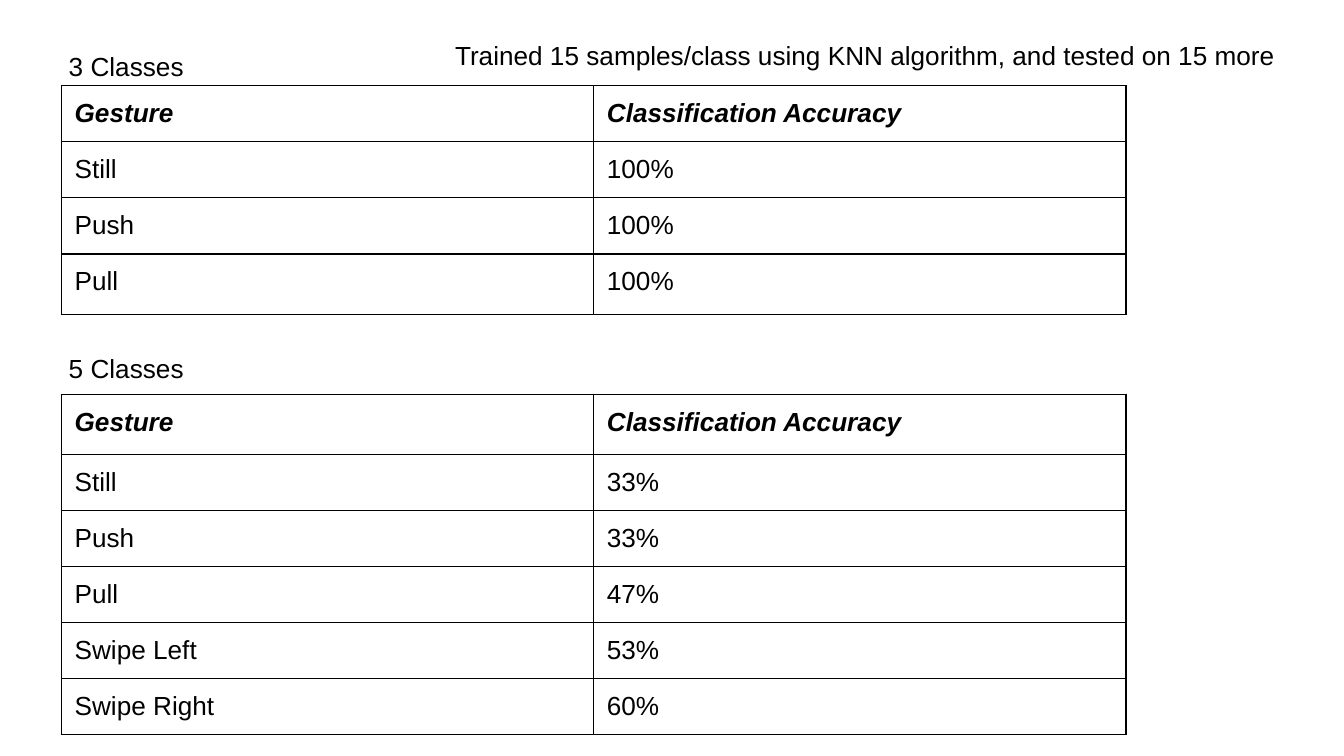
"""Build a slide that compares gesture accuracy for three and five classes."""
from lxml import etree
from pptx import Presentation
from pptx import util as u
from pptx.dml.color import RGBColor
from pptx.enum import text
from pptx.oxml import ns

HEAD = ("Gesture", "Classification Accuracy")
THREE = [HEAD, ("Still", "100%"), ("Push", "100%"), ("Pull", "100%")]
FIVE = [HEAD, ("Still", "33%"), ("Push", "33%"), ("Pull", "47%"),
        ("Swipe Left", "53%"), ("Swipe Right", "60%")]
INK = "000000"
PAD = u.Cm(0.25)
ROW, TALL = 1.06, 1.14


def color(code):
    """Turn a hex string into a colour."""
    return RGBColor.from_string(code)


def write(frame, words, size=14, bold=False, italic=False, ink=INK):
    """Put formatted text in a frame."""
    run = frame.paragraphs[0].add_run()
    run.text = words
    font = run.font
    font.name, font.size = "Arial", u.Pt(size)
    font.bold, font.italic = bold, italic
    font.color.rgb = color(ink)


def label(slide, words, left, top, width, height):
    """Add a wrapped text box."""
    box = slide.shapes.add_textbox(*map(u.Cm, (left, top, width, height)))
    frame = box.text_frame
    frame.word_wrap = True
    frame.vertical_anchor = text.MSO_ANCHOR.TOP
    frame.margin_left = frame.margin_right = PAD
    frame.margin_top = frame.margin_bottom = PAD
    write(frame, words)


def border(cell, ink=INK, width=0.75):
    """Draw a thin line on all four sides of a cell."""
    props = cell._tc.get_or_add_tcPr()
    for spot, side in enumerate(("lnL", "lnR", "lnT", "lnB")):
        line = etree.Element(ns.qn(f"a:{side}"), w=str(u.Pt(width)))
        fill = etree.SubElement(line, ns.qn("a:solidFill"))
        etree.SubElement(fill, ns.qn("a:srgbClr"), val=ink)
        props.insert(spot, line)


def grid(slide, rows, top, heights):
    """Add a bordered table with a bold italic header."""
    shape = slide.shapes.add_table(len(rows), len(HEAD), u.Cm(1.16), u.Cm(top),
                                   u.Cm(20.12), u.Cm(sum(heights)))
    table = shape.table
    table.first_row = table.horz_banding = False
    for r, (row, height) in enumerate(zip(rows, heights)):
        table.rows[r].height = u.Cm(height)
        for c, words in enumerate(row):
            cell = table.cell(r, c)
            cell.fill.background()
            cell.margin_left = cell.margin_right = PAD
            cell.margin_top = cell.margin_bottom = PAD
            write(cell.text_frame, words, bold=r == 0, italic=r == 0)
            border(cell)


def main():
    """Build and save the slide."""
    deck = Presentation()
    deck.slide_width, deck.slide_height = u.Cm(25.4), u.Cm(14.29)
    slide = deck.slides.add_slide(deck.slide_layouts[6])
    grid(slide, FIVE, 7.45, [TALL] + [ROW] * 5)
    grid(slide, THREE, 1.62, [ROW] * 3 + [TALL])
    label(slide, "Trained 15 samples/class using KNN algorithm, and tested on 15 more",
          8.35, 0.49, 16.33, 1.12)
    label(slide, "3 Classes", 1.05, 0.7, 7.09, 1)
    label(slide, "5 Classes", 1.05, 6.41, 7.09, 1.12)
    deck.save("out.pptx")


if __name__ == "__main__":
    main()
